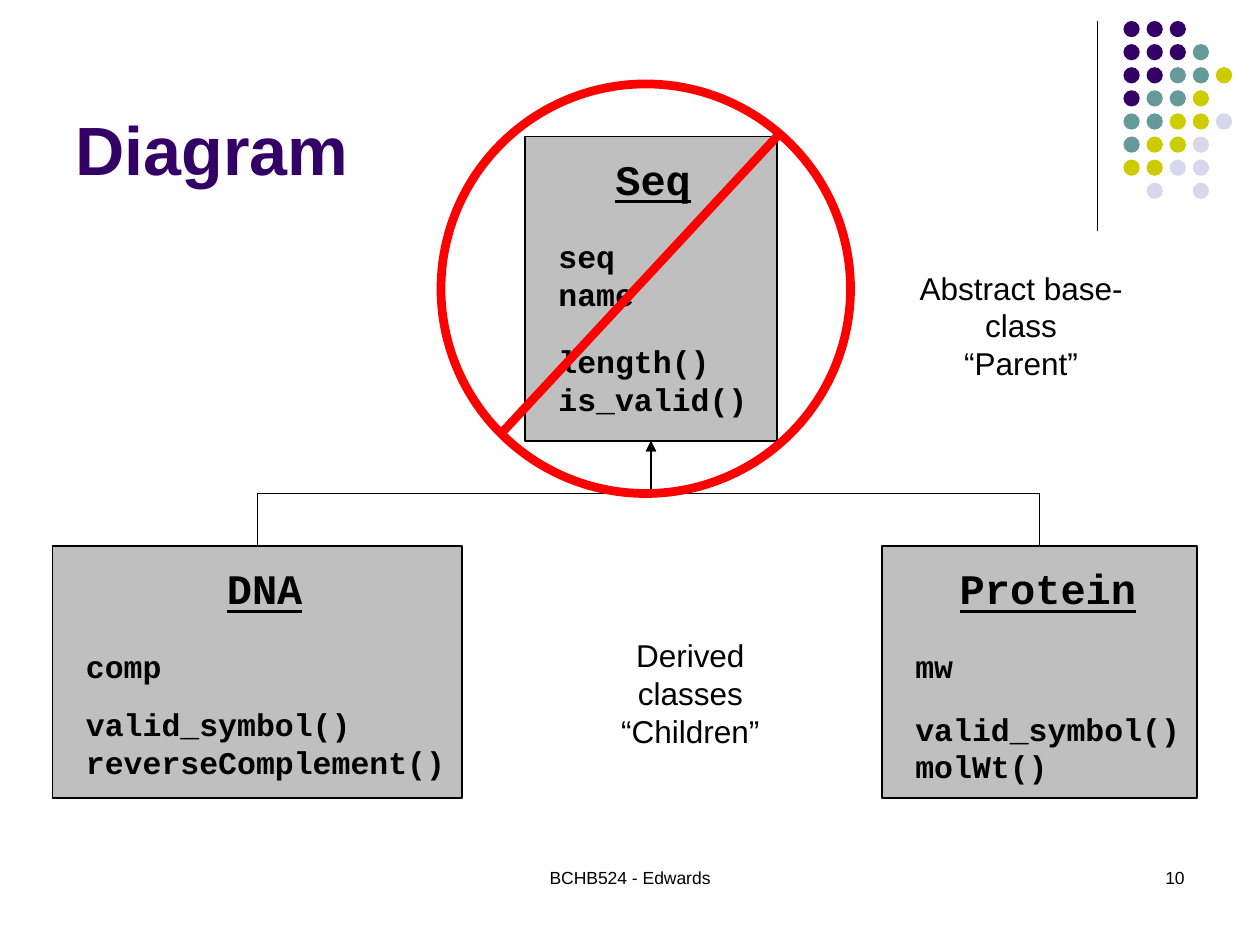
from lxml.etree import SubElement
from pptx import Presentation
from pptx.dml.color import RGBColor
from pptx.enum.shapes import MSO_CONNECTOR, MSO_SHAPE
from pptx.enum.text import MSO_ANCHOR, MSO_AUTO_SIZE, PP_ALIGN
from pptx.oxml.ns import qn
from pptx.util import Inches, Pt

DOT_COLORS = {"P": "330066", "T": "669999", "Y": "CCCC00", "L": "D8D8EC"}
DOT_ROWS = ["PPP", "PPPT", "PPTTY", "PTTY", "TTYYL", "TYYL", "YYLL", " L L"]


def grid(*units):
    """Turn grid units, twelve to the inch, into lengths."""
    return [Inches(u / 12) for u in units]


def rgb(color):
    """Return the colour for a hex string."""
    return RGBColor.from_string(color)


def add_text(tf, lines, size, font="Arial", color="000000", align=PP_ALIGN.LEFT, bold=False, underline=False):
    """Write one paragraph per line, all in the same style."""
    for i, line in enumerate(lines):
        p = tf.add_paragraph() if i else tf.paragraphs[0]
        p.alignment = align
        r = p.add_run()
        r.text = line
        r.font.name, r.font.size = font, Pt(size)
        r.font.bold, r.font.underline = bold, underline
        r.font.color.rgb = rgb(color)


def add_label(shapes, box, lines, size, wrap=True, **style):
    """Add a text box placed on the grid."""
    tf = shapes.add_textbox(*grid(*box)).text_frame
    tf.word_wrap = wrap
    add_text(tf, lines, size, **style)


def add_outline(shapes, kind, box, fill=None, line=None, width=0.75):
    """Add a preset shape with optional fill and line."""
    sp = shapes.add_shape(kind, *grid(*box))
    sp.shadow.inherit = False
    if fill:
        sp.fill.solid()
        sp.fill.fore_color.rgb = rgb(fill)
    else:
        sp.fill.background()
    if line:
        sp.line.color.rgb = rgb(line)
        sp.line.width = Pt(width)
    else:
        sp.line.fill.background()
    return sp


def add_line(shapes, ends, color="000000", width=0.75, kind=MSO_CONNECTOR.STRAIGHT):
    """Add a connector without a shadow."""
    cxn = shapes.add_connector(kind, *grid(*ends))
    cxn.line.color.rgb = rgb(color)
    cxn.line.width = Pt(width)
    SubElement(cxn._element.spPr, qn("a:effectLst"))
    return cxn


def add_dots(shapes):
    """Draw the corner pattern of coloured dots."""
    group = shapes.add_group_shape().shapes
    for row, keys in enumerate(DOT_ROWS):
        for col, key in enumerate(keys):
            if key in DOT_COLORS:
                box = (107 + 2.2 * col, 2 + 2.2 * row, 1.55, 1.55)
                add_outline(group, MSO_SHAPE.OVAL, box, DOT_COLORS[key])


def add_members(shapes, x, y, names):
    """List class members in a box sized to its text."""
    box = (x, y, 1.8 * max(map(len, names)) + 2.4, 3.6 * len(names) + 1.2)
    add_label(shapes, box, names, 18, wrap=False, font="Courier New", bold=True)


def add_class(shapes, box, name, name_x, fields, methods, methods_y):
    """Draw a class box with its name, fields and methods."""
    x, y = box[:2]
    group = shapes.add_group_shape().shapes
    sp = add_outline(group, MSO_SHAPE.RECTANGLE, box, "808080", "000000")
    color = sp._element.spPr.find(qn("a:solidFill"))[0]
    SubElement(color, qn("a:alpha"), val="50000")
    add_label(group, (name_x, y + 1, 20, 6), [name], 24, font="Courier New",
              align=PP_ALIGN.CENTER, bold=True, underline=True)
    add_members(group, x + 2, y + 9, fields)
    add_members(group, x + 2, methods_y, methods)
    return sp


def add_inheritance(shapes, child, parent):
    """Join a child's top to its parent's bottom with an upright elbow arrow."""
    cxn = add_line(shapes, (0, 0, 1, 1), kind=MSO_CONNECTOR.ELBOW)
    cxn.begin_connect(child, 0)
    cxn.end_connect(parent, 2)
    x1, y1 = child.left + child.width // 2, child.top
    x2, y2 = parent.left + parent.width // 2, parent.top + parent.height
    cxn.width, cxn.height = y1 - y2, abs(x2 - x1)
    cxn.left = (x1 + x2 - cxn.width) // 2
    cxn.top = (y1 + y2 - cxn.height) // 2
    xfrm = cxn._element.spPr.find(qn("a:xfrm"))
    rightward = x1 < x2
    xfrm.set("rot", "5400000" if rightward else "16200000")
    xfrm.set("flipH", "1" if rightward else "0")
    xfrm.set("flipV", "1")
    SubElement(cxn.line._get_or_add_ln(), qn("a:tailEnd"), type="triangle")


def add_title(slide, text):
    """Place and format the title placeholder."""
    title = slide.shapes.title
    title.left, title.top, title.width, title.height = grid(6, 1.6, 99, 17)
    tf = title.text_frame
    tf.vertical_anchor = MSO_ANCHOR.BOTTOM
    tf.auto_size = MSO_AUTO_SIZE.NONE
    add_text(tf, [text], 39, color="330066", bold=True)


def main():
    """Build the class diagram slide."""
    prs = Presentation()
    prs.slide_width, prs.slide_height = grid(120, 90)
    s = prs.slides.add_slide(prs.slide_layouts[5])
    shapes = s.shapes
    add_title(s, "Diagram")
    add_line(shapes, (104.5, 2, 104.5, 22))
    add_dots(shapes)

    seq = add_class(shapes, (50, 13, 24, 29), "Seq", 52.2, ["seq", "name"],
                    ["length()", "is_valid()"], 32)
    protein = add_class(shapes, (84, 52, 30, 24), "Protein", 89.8, ["mw"],
                        ["valid_symbol()", "molWt()"], 67)
    dna = add_class(shapes, (5, 52, 39, 24), "DNA", 15.2, ["comp"],
                    ["valid_symbol()", "reverseComplement()"], 66.6)
    for child in (dna, protein):
        add_inheritance(shapes, child, seq)

    add_label(shapes, (83, 25, 28.5, 8.4), ["Abstract base-class", "“Parent”"], 18,
              wrap=False, align=PP_ALIGN.CENTER)
    add_label(shapes, (54, 60, 23.5, 8.4), ["Derived classes", "“Children”"], 18,
              wrap=False, align=PP_ALIGN.CENTER)

    ban = shapes.add_group_shape().shapes
    add_outline(ban, MSO_SHAPE.OVAL, (42, 8, 39, 39), line="FF0000", width=5)
    add_line(ban, (74, 13, 48, 41), "FF0000", 5)

    add_label(shapes, (41, 82, 38, 6), ["BCHB524 - Edwards"], 10, align=PP_ALIGN.CENTER)
    add_label(shapes, (86, 82, 28, 6), ["10"], 10, align=PP_ALIGN.RIGHT)
    prs.save("out.pptx")


if __name__ == "__main__":
    main()
